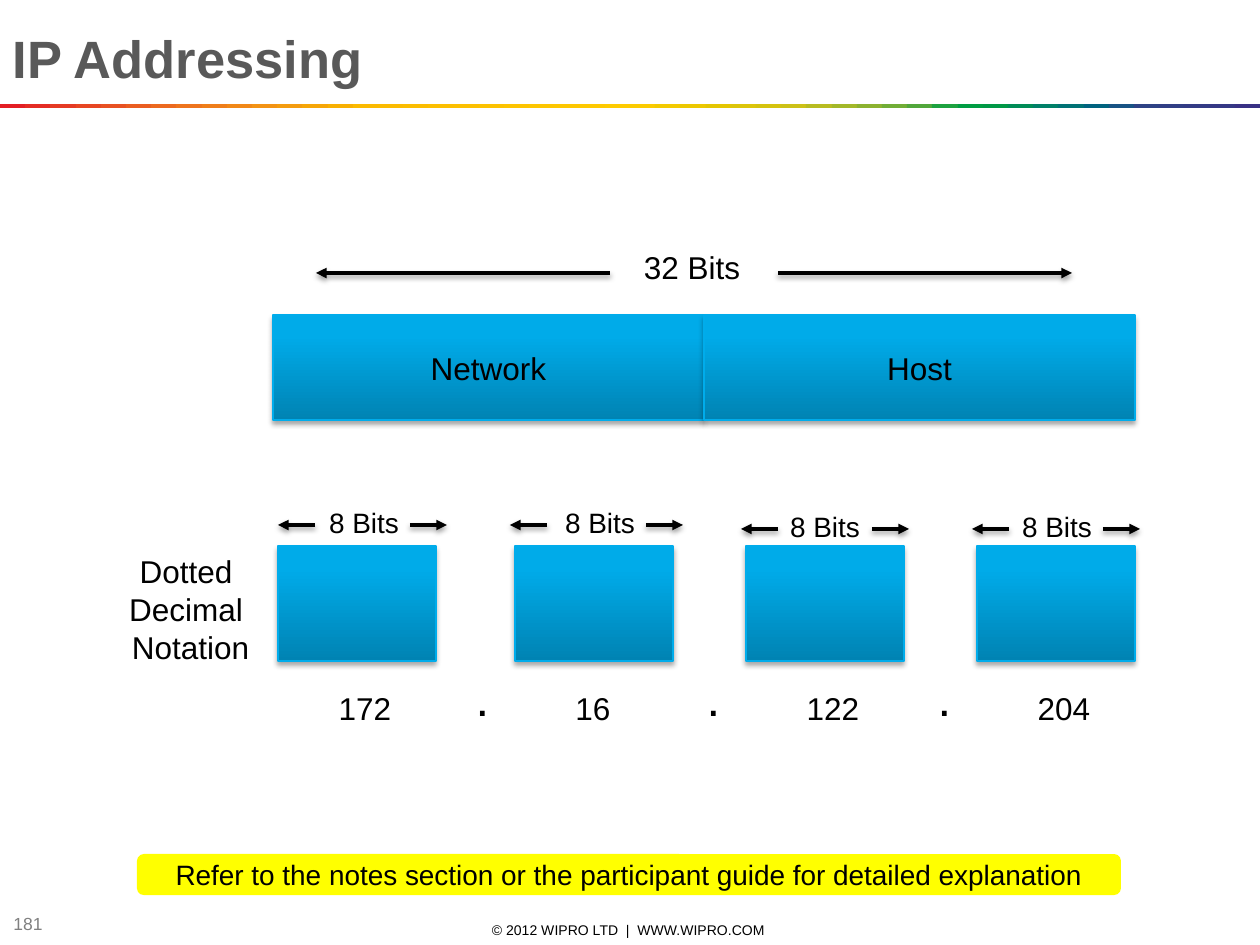
from copy import deepcopy
from dataclasses import dataclass

from lxml.etree import SubElement
from pptx import Presentation
from pptx.dml.color import RGBColor
from pptx.enum.shapes import MSO_CONNECTOR, MSO_SHAPE
from pptx.enum.text import MSO_ANCHOR, MSO_AUTO_SIZE, PP_ALIGN
from pptx.oxml.ns import qn
from pptx.util import Emu, Pt

PX_PER_INCH = 126
FONT = "Arial"
BLACK = "000000"
BLUE_STOPS = [(0, "0083B3"), (0.8, "00ABE9"), (1, "00ABEA")]
RAINBOW = """
E31E24 E42C24 E53A24 E74623 E85122 EA5D21 EC691F EE741D EF7E1A F18817
F39314 F49C0F F6A607 F8B002 FBBA00 FBBB00 FBBD00 FCBF00 FCC000 FCC200
FDC400 FDC600 FDC700 FEC900 FECB00 FBCB00 F3CA00 ECC800 E4C602 DCC50A
D5C30E CCC117 B8BC21 A3B829 8CB230 71AD36 51A73B 1DA240 009D43 009846
008C57 008068 007275 00637F 185384 2E4285 313E85 333B85 353885 393185
""".split()


@dataclass(frozen=True)
class Area:
    left: int
    top: int
    width: int
    height: int

    def emu(self) -> tuple:
        return px(self.left), px(self.top), px(self.width), px(self.height)


@dataclass(frozen=True)
class Octet:
    value: str
    box_left: int
    bits_left: int
    arrow_tips: tuple[int, int]
    arrow_y: int
    value_center: int


OCTETS = [
    Octet("172", 278, 316, (278, 447), 525, 365),
    Octet("16", 515, 552, (510, 683), 525, 593),
    Octet("122", 746, 777, (741, 909), 529, 833),
    Octet("204", 977, 1009, (972, 1140), 529, 1064),
]


def px(length: int) -> Emu:
    return Emu(round(length * 914400 / PX_PER_INCH))


def color(hex_code: str) -> RGBColor:
    return RGBColor.from_string(hex_code)


def write(shape, text: str, size: int, hex_code: str = BLACK,
          align=PP_ALIGN.CENTER, bold: bool = False) -> None:
    shape.text_frame.text = text
    for paragraph in shape.text_frame.paragraphs:
        paragraph.alignment = align
        for run in paragraph.runs:
            run.font.name = FONT
            run.font.size = Pt(size)
            run.font.bold = bold
            run.font.color.rgb = color(hex_code)


def add_label(slide, area: Area, text: str, size: int) -> None:
    label = slide.shapes.add_textbox(*area.emu())
    label.text_frame.word_wrap = False
    label.text_frame.auto_size = MSO_AUTO_SIZE.SHAPE_TO_FIT_TEXT
    write(label, text, size)


def add_footer(slide, area: Area, text: str, size: int, hex_code: str, align) -> None:
    footer = slide.shapes.add_textbox(*area.emu())
    footer.text_frame.word_wrap = True
    footer.text_frame.vertical_anchor = MSO_ANCHOR.MIDDLE
    write(footer, text, size, hex_code, align)


def add_plain_shape(slide, kind, area: Area, hex_code: str):
    shape = slide.shapes.add_shape(kind, *area.emu())
    shape.shadow.inherit = False
    shape.fill.solid()
    shape.fill.fore_color.rgb = color(hex_code)
    shape.line.fill.background()
    return shape


def cast_shadow(effects, distance: float, opacity: int) -> None:
    """Put a soft downward shadow into an a:effectLst element."""
    shadow = SubElement(effects, qn("a:outerShdw"), blurRad=str(Pt(3.1)),
                        dist=str(Pt(distance)), dir="5400000", rotWithShape="0")
    shade = SubElement(shadow, qn("a:srgbClr"), val=BLACK)
    SubElement(shade, qn("a:alpha"), val=str(opacity * 1000))


def add_blue_box(slide, area: Area, text: str = "") -> None:
    box = slide.shapes.add_shape(MSO_SHAPE.RECTANGLE, *area.emu())
    box.fill.gradient()
    box.fill.gradient_angle = 90
    properties = box._element.spPr
    stop_list = properties.find(".//" + qn("a:gsLst"))
    stop_list.append(deepcopy(stop_list[-1]))
    for stop, (position, hex_code) in zip(box.fill.gradient_stops, BLUE_STOPS):
        stop.position = position
        stop.color.rgb = color(hex_code)
    box.line.color.rgb = color("00ACEB")
    box.line.width = Pt(0.75)
    box.shadow.inherit = False
    cast_shadow(properties.find(qn("a:effectLst")), 1.8, 35)
    if text:
        box.text_frame.vertical_anchor = MSO_ANCHOR.MIDDLE
        write(box, text, 18)


def add_arrow(slide, start: int, tip: int, y: int) -> None:
    arrow = slide.shapes.add_connector(
        MSO_CONNECTOR.STRAIGHT, px(start), px(y), px(tip), px(y))
    arrow.line.color.rgb = color(BLACK)
    arrow.line.width = Pt(2)
    properties = arrow._element.spPr
    SubElement(properties.find(qn("a:ln")), qn("a:tailEnd"), type="triangle")
    cast_shadow(SubElement(properties, qn("a:effectLst")), 1.6, 38)


def add_span(slide, tips: tuple[int, int], length: int, y: int) -> None:
    """Draw two arrows that point outwards to the given tips."""
    left, right = tips
    add_arrow(slide, left + length, left, y)
    add_arrow(slide, right - length, right, y)


def add_octet(slide, octet: Octet) -> None:
    add_blue_box(slide, Area(octet.box_left, 546, 158, 115))
    add_span(slide, octet.arrow_tips, 37, octet.arrow_y)
    add_label(slide, Area(octet.bits_left, octet.arrow_y - 26, 96, 46), "8 Bits", 16)
    width = 24 + 18 * len(octet.value)
    add_label(slide, Area(octet.value_center - width // 2, 683, width, 50),
              octet.value, 18)


def add_rainbow(slide) -> None:
    for index, hex_code in enumerate(RAINBOW):
        left = round(index * 1260 / len(RAINBOW))
        add_plain_shape(slide, MSO_SHAPE.RECTANGLE,
                        Area(left, 104, min(50, 1260 - left), 4), hex_code)


def main() -> None:
    presentation = Presentation()
    presentation.slide_width, presentation.slide_height = px(1260), px(945)
    slide = presentation.slides.add_slide(presentation.slide_layouts[5])

    add_footer(slide, Area(431, 920, 399, 20), "© 2012 WIPRO LTD  |  WWW.WIPRO.COM ",
               8, BLACK, PP_ALIGN.CENTER)
    add_footer(slide, Area(1, 910, 95, 27), "181", 10, "808080", PP_ALIGN.LEFT)
    add_rainbow(slide)

    title = slide.shapes.title
    title.left, title.top, title.width, title.height = Area(0, 19, 1260, 77).emu()
    write(title, "IP Addressing", 30, "595959", PP_ALIGN.LEFT, bold=True)

    for index, part in enumerate(["Network", "Host"]):
        add_blue_box(slide, Area(273 + 431 * index, 315, 431, 105), part)
    add_span(slide, (316, 1072), 294, 273)
    add_label(slide, Area(631, 242, 122, 50), "32 Bits", 18)

    for octet in OCTETS:
        add_octet(slide, octet)
    for gap in range(len(OCTETS) - 1):
        add_label(slide, Area(463 + 231 * gap, 661, 39, 72), ".", 28)
    add_label(slide, Area(116, 546, 149, 127), "Dotted \nDecimal \nNotation", 18)

    reminder = add_plain_shape(slide, MSO_SHAPE.ROUNDED_RECTANGLE,
                               Area(137, 854, 984, 41), "FFFF00")
    reminder.text_frame.vertical_anchor = MSO_ANCHOR.MIDDLE
    write(reminder, "Refer to the notes section or the participant guide"
                    " for detailed explanation", 16)

    presentation.save("out.pptx")


if __name__ == "__main__":
    main()
